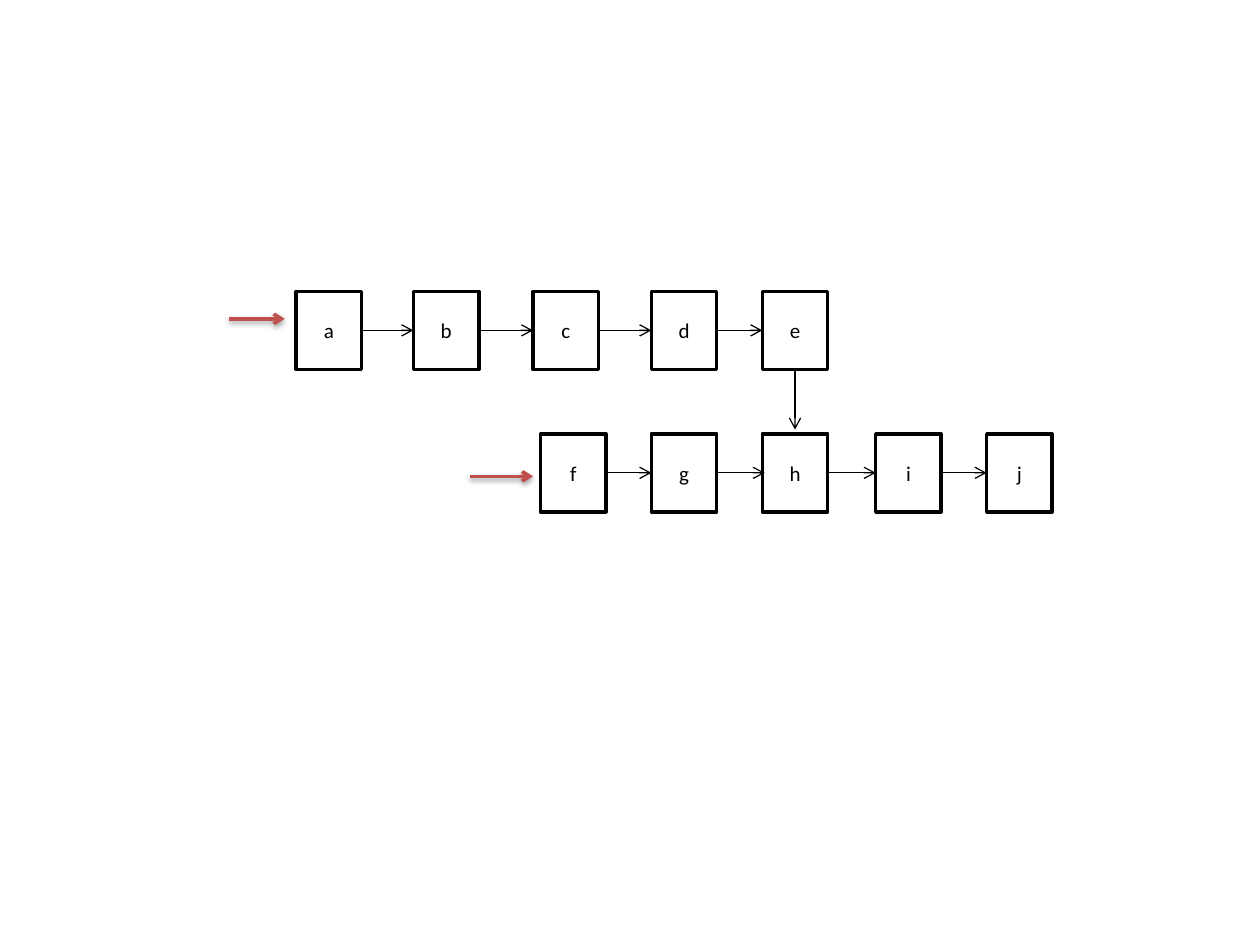
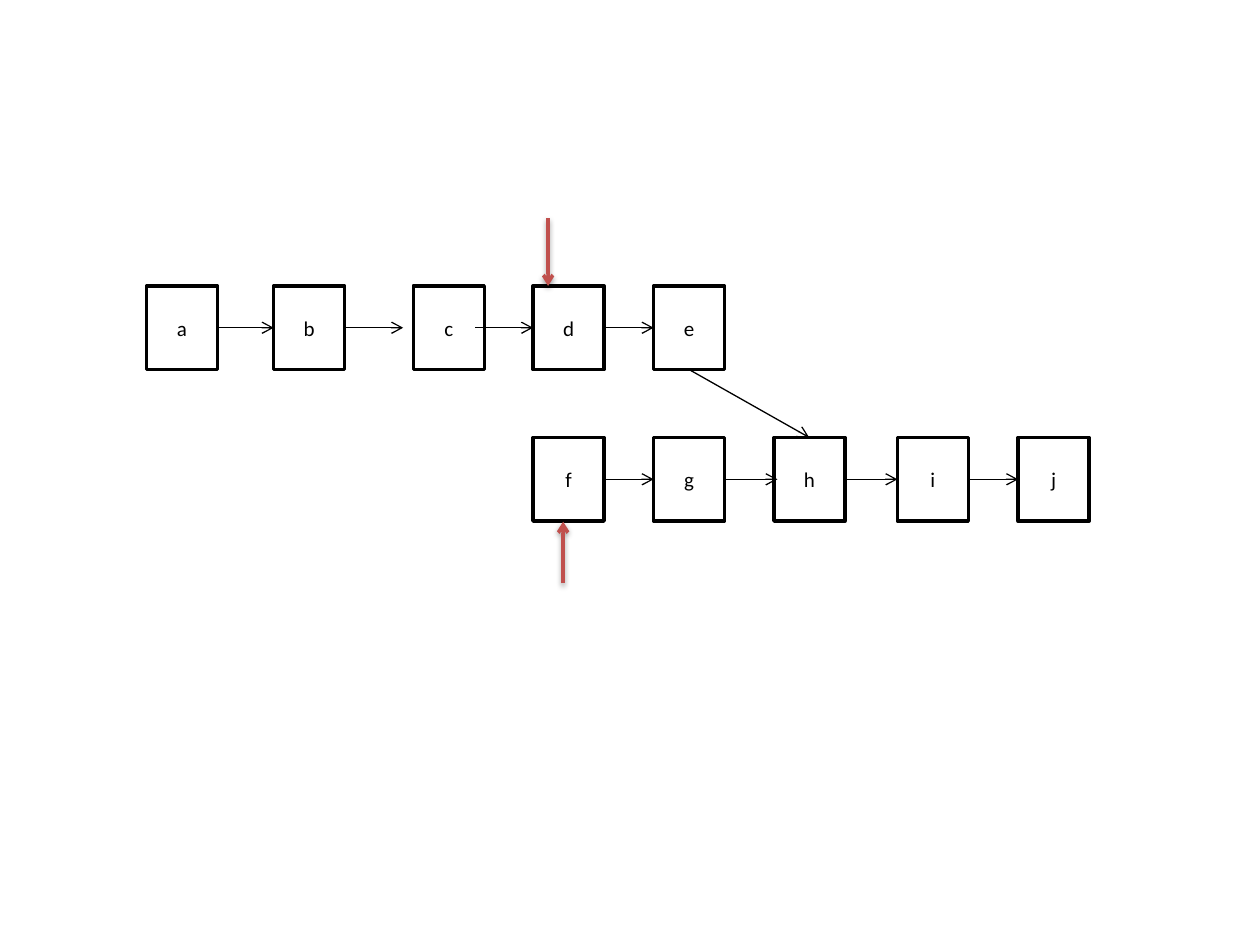
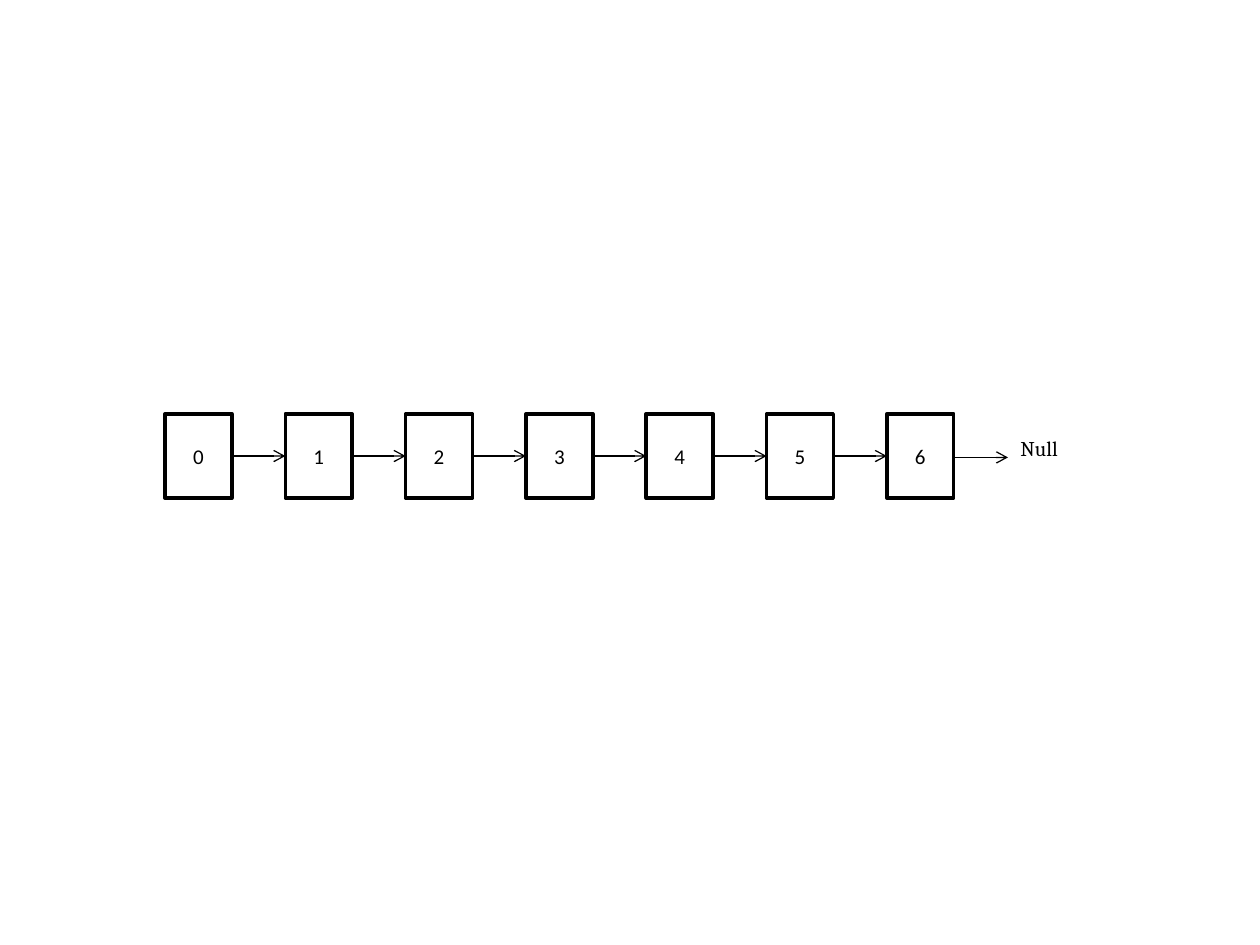
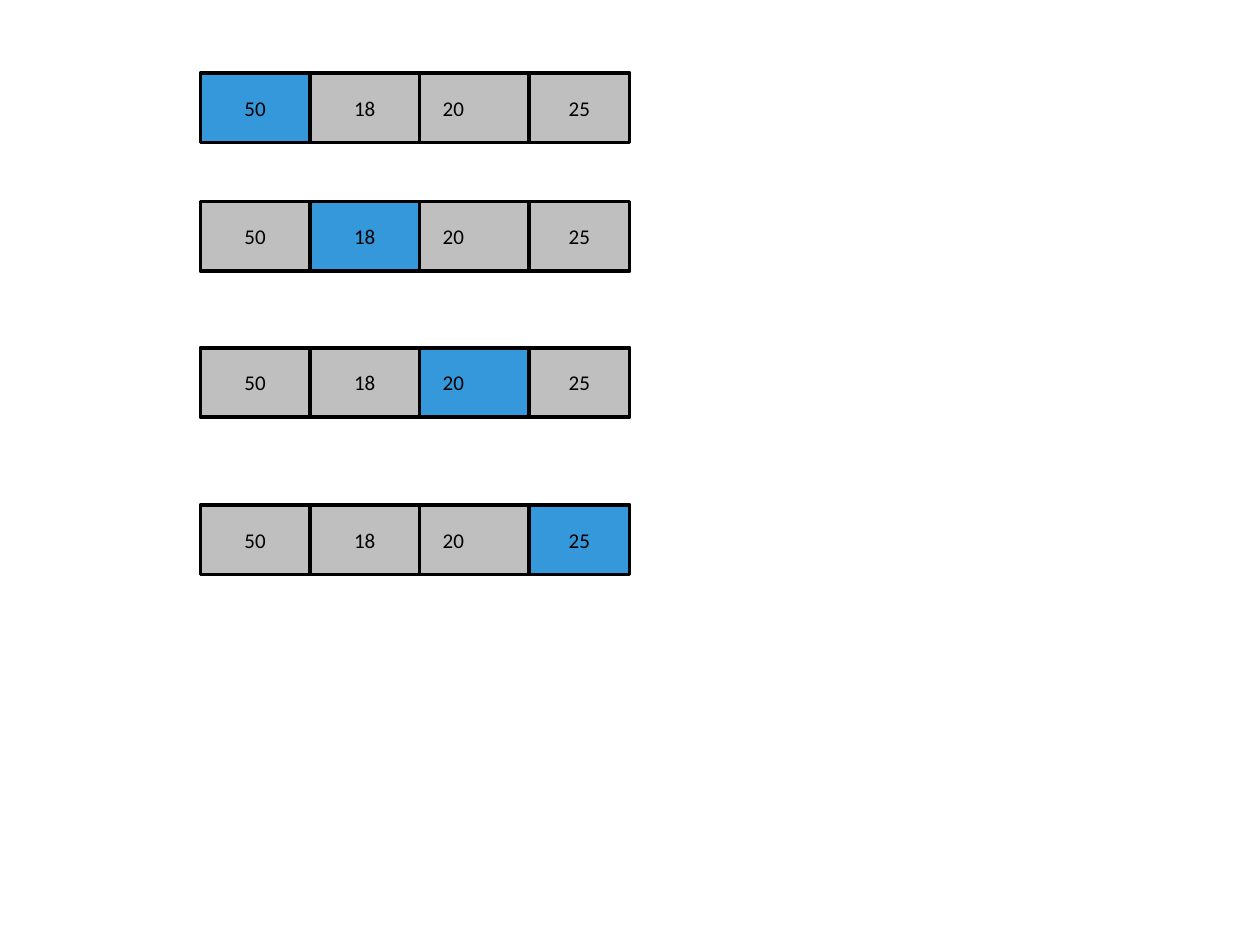
from lxml import etree
from pptx import Presentation
from pptx.dml.color import RGBColor
from pptx.enum import shapes, text
from pptx.oxml import ns, parse_xml
from pptx.util import Pt

BLACK, WHITE, RED, GREY, BLUE = "000000", "FFFFFF", "C0504D", "BFBFBF", "3498DB"
rgb = RGBColor.from_string

POINTER_SHADOW = f"""<a:effectLst {ns.nsdecls("a")}>
  <a:outerShdw blurRad="40000" dist="20000" dir="5400000" rotWithShape="0">
    <a:srgbClr val="{BLACK}"><a:alpha val="38000"/></a:srgbClr>
  </a:outerShdw>
</a:effectLst>"""
NO_SHADOW = f'<a:effectLst {ns.nsdecls("a")}/>'


def add_box(slide, label, left, top, width, height, fill=WHITE):
    box = slide.shapes.add_shape(shapes.MSO_SHAPE.RECTANGLE,
                                 Pt(left), Pt(top), Pt(width), Pt(height))
    box.shadow.inherit = False
    box.fill.solid()
    box.fill.fore_color.rgb = rgb(fill)
    box.line.color.rgb = rgb(BLACK)
    box.line.width = Pt(2)
    frame = box.text_frame
    frame.vertical_anchor = text.MSO_ANCHOR.MIDDLE
    paragraph = frame.paragraphs[0]
    paragraph.text = label
    paragraph.alignment = text.PP_ALIGN.CENTER
    paragraph.font.name = "Calibri"
    paragraph.font.size = Pt(12)
    paragraph.font.color.rgb = rgb(BLACK)
    return box


def add_arrow(slide, x1, y1, x2, y2, color=BLACK, width=0.75, effects=NO_SHADOW):
    arrow = slide.shapes.add_connector(shapes.MSO_CONNECTOR.STRAIGHT,
                                       Pt(x1), Pt(y1), Pt(x2), Pt(y2))
    arrow.line.color.rgb = rgb(color)
    arrow.line.width = Pt(width)
    line = arrow.line._get_or_add_ln()
    etree.SubElement(line, ns.qn("a:tailEnd"), type="arrow")
    line.addnext(parse_xml(effects))


prs = Presentation()
prs.slide_width, prs.slide_height = Pt(720), Pt(540)
blank = prs.slide_layouts[6]

# Linked lists: each row is (top, {node: left}); "shifts" moves the start
# and end of the link that leaves a node.
linked_lists = [
    dict(size=(37.4, 44.6),
         rows=[(166.5, dict(a=169.2, b=236.2, c=304.6, d=372.2, e=435.6)),
               (247.9, dict(f=308.9, g=372.2, h=435.6, i=500.4, j=563.8))],
         shifts=dict(g=(0, 1.4)),
         merge=(454.3, 211, 454.3, 245.5),
         pointers=[(131, 182.2, 162.7, 182.2), (268.6, 272.2, 304.6, 272.2)]),
    dict(size=(40.6, 47.8),
         rows=[(163.4, dict(a=83.7, b=156.4, c=236.2, d=304.6, e=373.5)),
               (250, dict(f=304.6, g=373.5, h=442.3, i=512.8, j=581.8))],
         shifts=dict(b=(0, -5.8), c=(-5.3, 0), g=(0, 2)),
         merge=(393.8, 211.2, 462.4, 250),
         pointers=[(313.2, 124.6, 313.2, 163.4), (321.8, 333.4, 321.8, 298.1)]),
    dict(size=(38.2, 48.2),
         rows=[(236.5, {str(n): 94.3 + 68.75 * n for n in range(7)})],
         shifts={}, merge=None, pointers=[]),
]

for diagram in linked_lists:
    slide = prs.slides.add_slide(blank)
    node_width, node_height = diagram["size"]
    for top, nodes in diagram["rows"]:
        for node, left in nodes.items():
            add_box(slide, node, left, top, node_width, node_height)
        lefts = list(nodes.values())
        link_y = top + node_height / 2
        for node, left, next_left in zip(nodes, lefts, lefts[1:]):
            start, end = diagram["shifts"].get(node, (0, 0))
            add_arrow(slide, left + node_width + start, link_y, next_left + end, link_y)
    if diagram["merge"]:
        add_arrow(slide, *diagram["merge"])
    for pointer in diagram["pointers"]:
        add_arrow(slide, *pointer, color=RED, width=2, effects=POINTER_SHADOW)

# The last list ends in Null
null_left = 576
add_arrow(slide, lefts[-1] + node_width, 261.4, null_left, 261.4)
null = slide.shapes.add_textbox(Pt(null_left), Pt(245.5), Pt(43.2), Pt(36.7))
null.text_frame.word_wrap = False
ending = null.text_frame.paragraphs[0]
ending.text = "Null"
ending.font.name = "Cambria"
ending.font.size = Pt(12)
ending.font.color.rgb = rgb(BLACK)

# Array scan: the visited cell moves one place right in each step
slide = prs.slides.add_slide(blank)
cell_pitch, cell_height = 62.6, 39.6
values = ["50", "18", "20", "25"]
for step, top in enumerate([41.8, 115.2, 198.7, 288.7]):
    for index, value in enumerate(values):
        cell = add_box(slide, value, 114.5 + cell_pitch * index, top,
                       57.6 if value == "25" else cell_pitch, cell_height,
                       BLUE if index == step else GREY)
        if value == "20":
            cell.text_frame.margin_right = Pt(31)

prs.save("out.pptx")
